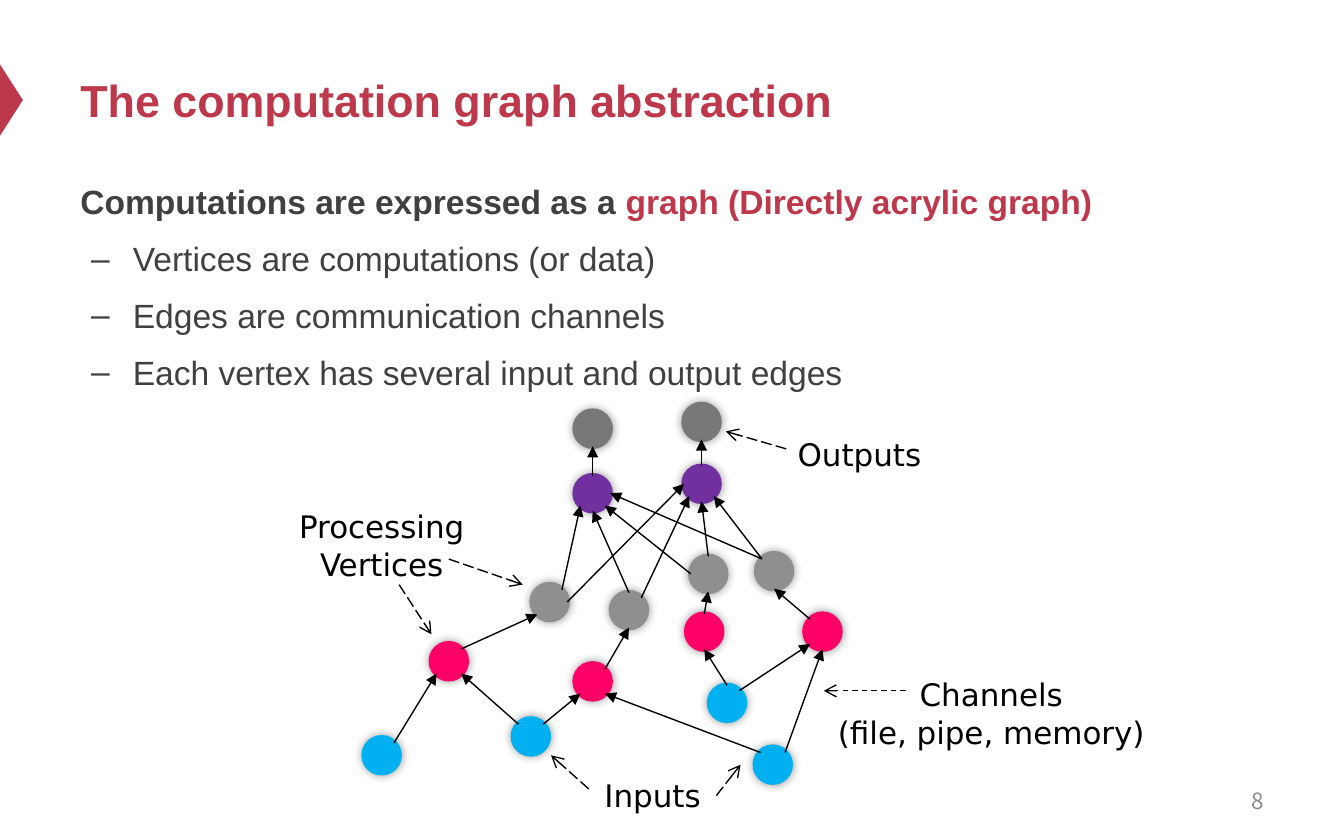
from lxml import etree
from pptx import Presentation
from pptx.dml.color import RGBColor
from pptx.enum.dml import MSO_LINE
from pptx.enum.shapes import MSO_CONNECTOR, MSO_SHAPE
from pptx.enum.text import MSO_ANCHOR, PP_ALIGN
from pptx.oxml.ns import qn
from pptx.util import Inches, Pt

TRIANGLE = MSO_SHAPE.ISOSCELES_TRIANGLE
CIRCLE = MSO_SHAPE.FLOWCHART_CONNECTOR
STRAIGHT = MSO_CONNECTOR.STRAIGHT
LONG_DASH, DASH = MSO_LINE.LONG_DASH, MSO_LINE.DASH
TOP, MIDDLE = MSO_ANCHOR.TOP, MSO_ANCHOR.MIDDLE
LEFT, CENTER, RIGHT = PP_ALIGN.LEFT, PP_ALIGN.CENTER, PP_ALIGN.RIGHT

CRIMSON = RGBColor(0xBE, 0x38, 0x4B)
CHARCOAL = RGBColor(0x40, 0x40, 0x40)
SILVER = RGBColor(0x8C, 0x8C, 0x8C)
BLACK = RGBColor(0x00, 0x00, 0x00)
BLUE = RGBColor(0x00, 0xB0, 0xF0)
PINK = RGBColor(0xFF, 0x00, 0x66)
GREY = RGBColor(0x8F, 0x8F, 0x8F)
PURPLE = RGBColor(0x70, 0x30, 0xA0)
DARK_GREY = RGBColor(0x78, 0x78, 0x78)

deck = Presentation()
deck.slide_width, deck.slide_height = Inches(10), Inches(6.25)
COL = deck.slide_width / 100
ROW = deck.slide_height / 62.5
slide = deck.slides.add_slide(deck.slide_layouts[6])


def add_frame(left, top, width, height, anchor=TOP, wrap=True):
    box = slide.shapes.add_textbox(int(left * COL), int(top * ROW), int(width * COL), int(height * ROW))
    box.text_frame.word_wrap = wrap
    box.text_frame.vertical_anchor = anchor
    return box.text_frame


def write(paragraph, text, size=18, color=CHARCOAL, font="Arial", bold=False, align=LEFT):
    paragraph.alignment = align
    for number, line in enumerate(text.split("\n")):
        if number:
            paragraph.add_line_break()
        run = paragraph.add_run()
        run.text = line
        run.font.size = Pt(size)
        run.font.name = font
        run.font.bold = bold
        run.font.color.rgb = color


marker = slide.shapes.add_shape(TRIANGLE, int(-1.8 * COL), int(6.6 * ROW), int(5.3 * COL), int(1.7 * ROW))
marker.rotation = 90
marker.shadow.inherit = False
marker.fill.solid()
marker.fill.fore_color.rgb = CRIMSON
marker.line.fill.background()

title = add_frame(5, 2.5, 90, 9.8, anchor=MIDDLE)
write(title.paragraphs[0], "The computation graph abstraction", size=24, color=CRIMSON, bold=True)

body = add_frame(5, 12.4, 90, 17)
lead = body.paragraphs[0]
lead.line_spacing = 1.2
write(lead, "Computations are expressed as a ", bold=True)
write(lead, "graph (Directly acrylic graph)", color=CRIMSON, bold=True)

for point in (
    "Vertices are computations (or data)",
    "Edges are communication channels",
    "Each vertex has several input and output edges",
):
    item = body.add_paragraph()
    item.line_spacing = 1.2
    item.space_before = Pt(4.6)
    properties = item._p.get_or_add_pPr()
    properties.set("marL", str(int(3.9 * COL)))
    properties.set("indent", str(int(-3.1 * COL)))
    etree.SubElement(properties, qn("a:buFont"), typeface="Arial")
    etree.SubElement(properties, qn("a:buChar"), char="–")
    write(item, point)

page = add_frame(71.7, 57.9, 23.3, 3.3, anchor=MIDDLE)
write(page.paragraphs[0], "8", size=12, color=SILVER, font="Noto Sans CJK SC", align=RIGHT)

RADIUS = 1.3
layers = {
    BLUE: {"in1": (28.4, 56.2), "in2": (39.5, 54.8), "in3": (54.1, 52.3), "in4": (57.5, 56.9)},
    PINK: {"low1": (33.4, 49.2), "low2": (44.1, 50.7), "low3": (52.4, 47), "low4": (61.2, 47)},
    GREY: {"mid1": (40.9, 44.8), "mid2": (46.8, 45.4), "mid3": (52.7, 42.7), "mid4": (57.6, 42.5)},
    PURPLE: {"top1": (44.1, 36.7), "top2": (52.2, 36)},
    DARK_GREY: {"out1": (44.1, 31.9), "out2": (52.2, 31.4)},
}
centers = {}
for color, vertices in layers.items():
    centers.update(vertices)
    for x, y in vertices.values():
        vertex = slide.shapes.add_shape(
            CIRCLE, int((x - RADIUS) * COL), int((y - RADIUS) * ROW), int(2 * RADIUS * COL), int(2 * RADIUS * ROW)
        )
        vertex.fill.solid()
        vertex.fill.fore_color.rgb = color
        vertex.line.color.rgb = color
        vertex.line.width = Pt(3)
        vertex.shadow.inherit = False
        effects = vertex._element.spPr.find(qn("a:effectLst"))
        glow = etree.SubElement(effects, qn("a:outerShdw"), blurRad=str(Pt(5)), dist="0", dir="0", rotWithShape="0")
        shade = etree.SubElement(glow, qn("a:srgbClr"), val=str(BLACK))
        etree.SubElement(shade, qn("a:alpha"), val="40000")

sides = {
    "N": (0, -1), "S": (0, 1), "W": (-1, 0), "E": (1, 0),
    "NW": (-0.7, -0.7), "NE": (0.7, -0.7), "SW": (-0.7, 0.7), "SE": (0.7, 0.7),
}
channels = (
    "in1 NE low1 SW", "in2 NW low1 SE", "in2 NE low2 SW", "in4 NW low2 SE", "in3 N low3 S",
    "in4 NE low4 S", "in3 NE low4 SW", "low1 NE mid1 SW", "low4 NW mid4 S", "low2 NE mid2 S",
    "low3 N mid3 S", "mid1 NE top1 SW", "mid1 E top2 W", "mid2 N top1 S", "mid2 NE top2 SW",
    "mid3 W top1 SE", "mid3 N top2 S", "mid4 NW top2 SE", "mid4 NW top1 E", "top1 N out1 S",
    "top2 N out2 S",
)
arrows = [
    (33.4, 41.6, 38.9, 43.5, LONG_DASH, "arrow"),
    (29.7, 43.5, 32.1, 47.2, LONG_DASH, "arrow"),
    (53.3, 59.2, 55.1, 56.9, LONG_DASH, "arrow"),
    (43.8, 58.7, 41, 56.2, LONG_DASH, "arrow"),
    (58.5, 33.4, 54, 32.1, LONG_DASH, "arrow"),
    (67.4, 51.4, 61.3, 51.4, DASH, "arrow"),
]
for channel in channels:
    source, exit_side, target, entry_side = channel.split()
    ends = []
    for name, side in ((source, exit_side), (target, entry_side)):
        ends += [center + RADIUS * shift for center, shift in zip(centers[name], sides[side])]
    arrows.append((*ends, None, "triangle"))

for x1, y1, x2, y2, dash, head in arrows:
    arrow = slide.shapes.add_connector(STRAIGHT, int(x1 * COL), int(y1 * ROW), int(x2 * COL), int(y2 * ROW))
    arrow.line.color.rgb = BLACK
    arrow.line.width = Pt(0.75)
    if dash:
        arrow.line.dash_style = dash
    outline = arrow._element.spPr
    etree.SubElement(outline.find(qn("a:ln")), qn("a:tailEnd"), type=head)
    etree.SubElement(outline, qn("a:effectLst"))

for text, left, top, width, height in (
    ("Inputs", 43.8, 57.3, 9.5, 3.8),
    ("Outputs", 58.3, 31.9, 11.3, 3.8),
    ("Channels\n(file, pipe, memory)", 60.9, 49.8, 25.7, 6.6),
    ("Processing\nVertices", 21.2, 37.3, 14.4, 6.6),
):
    label = add_frame(left, top, width, height, wrap=False)
    write(label.paragraphs[0], text, size=16.6, color=BLACK, font="DejaVu Sans", align=CENTER)

deck.save("out.pptx")
